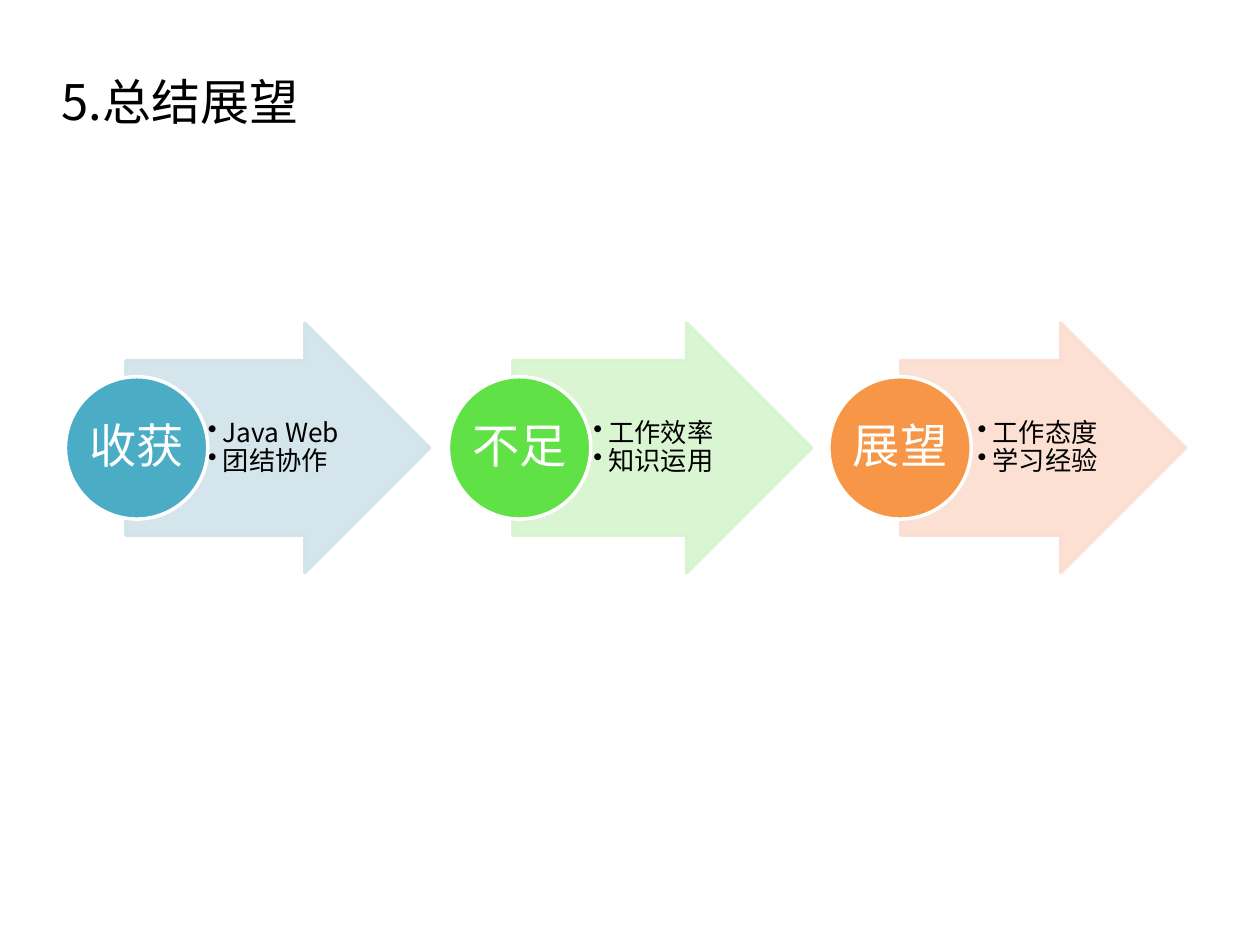
import pptx
import pptx.dml.color
import pptx.enum.shapes
import pptx.enum.text
import pptx.oxml.ns
import pptx.util
import lxml.etree

Cm = pptx.util.Cm
Pt = pptx.util.Pt
qn = pptx.oxml.ns.qn
SHAPES = pptx.enum.shapes.MSO_SHAPE
ANCHOR = pptx.enum.text.MSO_ANCHOR
ALIGN = pptx.enum.text.PP_ALIGN
FIT = pptx.enum.text.MSO_AUTO_SIZE

FONT = "Noto Sans CJK SC"
MIDDLE = 9.03
ARROW_HEIGHT = 5.03
CIRCLE_SIZE = 2.87
BULLET_INDENT = Cm(0.3)
NO_MARGINS = {"margin_left": 0, "margin_right": 0, "margin_top": 0, "margin_bottom": 0}

STAGES = [
    {"label": "收获", "points": ["Java Web", "团结协作"], "circle": "4BACC6",
     "arrow": "D0E3EA", "circle_left": 1.32, "arrow_left": 2.54, "arrow_width": 6.12},
    {"label": "不足", "points": ["工作效率", "知识运用"], "circle": "60E146",
     "arrow": "D6F4CE", "circle_left": 9.04, "arrow_left": 10.34, "arrow_width": 6.02},
    {"label": "展望", "points": ["工作态度", "学习经验"], "circle": "F79646",
     "arrow": "FCDDCF", "circle_left": 16.71, "arrow_left": 18.16, "arrow_width": 5.74},
]


def hex_color(value):
    return pptx.dml.color.RGBColor.from_string(value)


def apply_format(target, values):
    for name, value in values.items():
        setattr(target, name, value)


def write_lines(frame, lines, size, color, paragraph_format):
    for index, line in enumerate(lines):
        paragraph = frame.paragraphs[0] if index == 0 else frame.add_paragraph()
        apply_format(paragraph, paragraph_format)
        run = paragraph.add_run()
        run.text = line
        apply_format(run.font, {"name": FONT, "size": Pt(size)})
        run.font.color.rgb = hex_color(color)
        east_asian = lxml.etree.SubElement(run._r.get_or_add_rPr(), qn("a:ea"))
        east_asian.set("typeface", FONT)


def add_bullets(frame):
    for paragraph in frame.paragraphs:
        properties = paragraph._p.get_or_add_pPr()
        properties.set("marL", str(BULLET_INDENT))
        properties.set("indent", str(-BULLET_INDENT))
        lxml.etree.SubElement(properties, qn("a:buChar")).set("char", "•")


def set_opacity(shape, percent):
    for color in shape._element.spPr.iter(qn("a:srgbClr")):
        lxml.etree.SubElement(color, qn("a:alpha")).set("val", str(percent * 1000))


def add_block(slide, preset, left, width, height, fill, line):
    block = slide.shapes.add_shape(
        preset, Cm(left), Cm(MIDDLE - height / 2), Cm(width), Cm(height))
    block.shadow.inherit = False
    block.fill.solid()
    block.fill.fore_color.rgb = hex_color(fill)
    block.line.color.rgb = hex_color(line)
    block.line.width = Pt(2)
    apply_format(block.text_frame, {
        **NO_MARGINS, "word_wrap": True, "vertical_anchor": ANCHOR.MIDDLE})
    return block


def add_arrow(slide, stage):
    width, color = stage["arrow_width"], stage["arrow"]
    arrow = add_block(slide, SHAPES.RIGHT_ARROW, stage["arrow_left"],
                      width, ARROW_HEIGHT, color, color)
    arrow.adjustments[0] = 0.7
    arrow.adjustments[1] = 0.5
    set_opacity(arrow, 90)
    arrow.text_frame.margin_left = Cm(width * 0.27)
    write_lines(arrow.text_frame, stage["points"], 15, "000000", {
        "alignment": ALIGN.LEFT, "level": 1, "line_spacing": 0.9})
    add_bullets(arrow.text_frame)


def add_circle(slide, stage):
    circle = add_block(slide, SHAPES.OVAL, stage["circle_left"],
                       CIRCLE_SIZE, CIRCLE_SIZE, stage["circle"], "FFFFFF")
    write_lines(circle.text_frame, [stage["label"]], 27, "FFFFFF", {
        "alignment": ALIGN.CENTER, "line_spacing": 0.9})


def add_title(slide, text):
    title = slide.shapes.add_textbox(Cm(0.99), Cm(1.32), Cm(5.33), Cm(1.45))
    apply_format(title.text_frame, {
        "word_wrap": True, "auto_size": FIT.SHAPE_TO_FIT_TEXT})
    write_lines(title.text_frame, [text], 28, "000000", {"alignment": ALIGN.LEFT})


def main():
    """Build the summary and outlook slide."""
    deck = pptx.Presentation()
    apply_format(deck, {"slide_width": Cm(25.4), "slide_height": Cm(19.05)})
    slide = deck.slides.add_slide(deck.slide_layouts[6])
    add_title(slide, "5.总结展望")
    for stage in STAGES:
        add_arrow(slide, stage)
        add_circle(slide, stage)
    deck.save("out.pptx")


if __name__ == "__main__":
    main()
